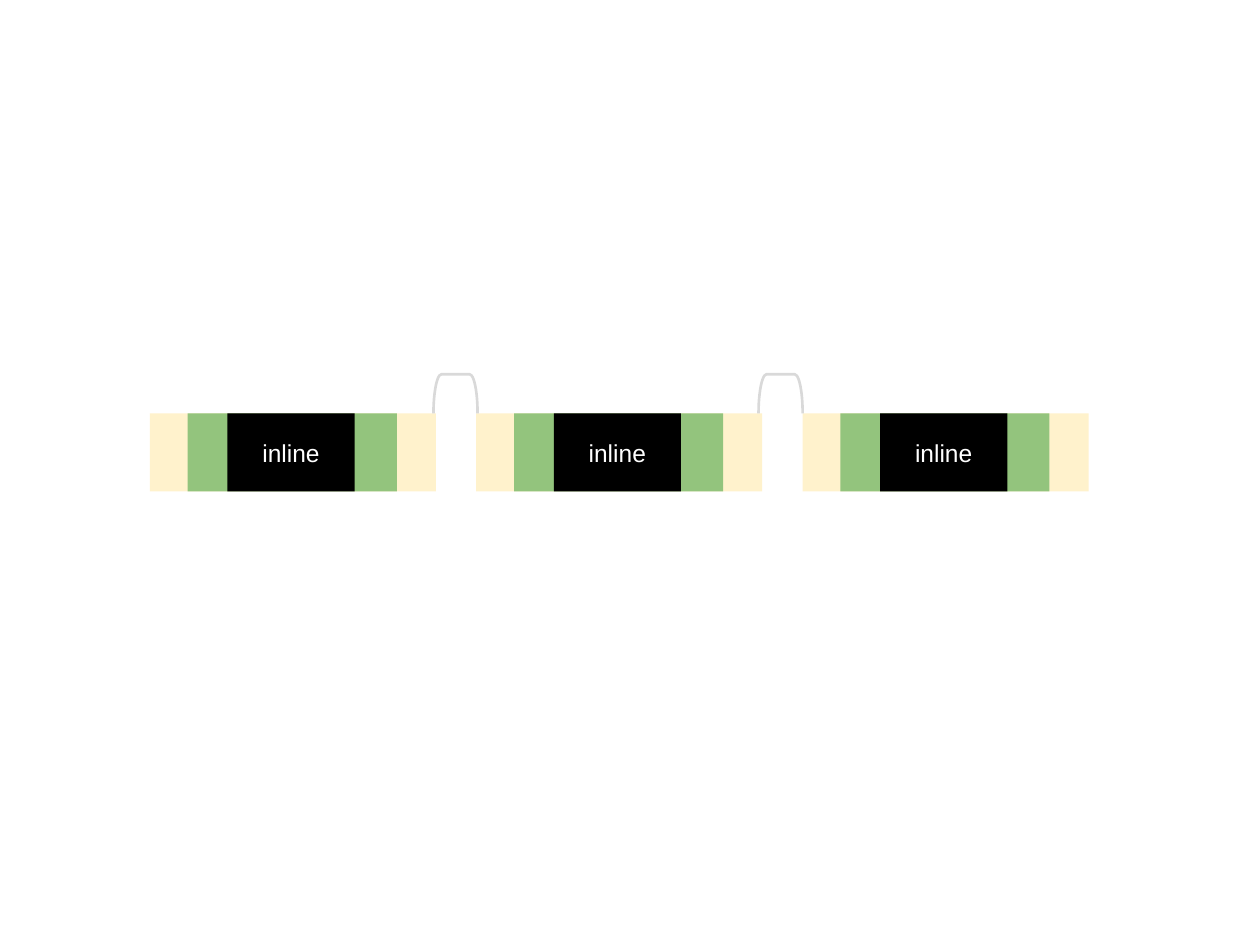
import pptx
import pptx.util
import pptx.dml.color
import pptx.enum.shapes
import pptx.enum.text

SHAPES = pptx.enum.shapes.MSO_SHAPE


def color(value):
    return pptx.dml.color.RGBColor.from_string(value)


class Deck:
    """Draw styled boxes on one slide, with lengths in grid cells of 0.1 inch."""

    CELL = 0.1
    FONT = "Arial"
    SIZE = 14
    MARGIN, PADDING, CONTENT = "FFF2CC", "93C47D", "000000"
    TEXT, LINE = "FFFFFF", "D9D9D9"

    def __init__(self, columns, rows):
        self.prs = pptx.Presentation()
        self.prs.slide_width = self.cells(columns)
        self.prs.slide_height = self.cells(rows)
        self.s = self.prs.slides.add_slide(self.prs.slide_layouts[6])

    def cells(self, count):
        return pptx.util.Inches(count * self.CELL)

    def shape(self, kind, left, top, width, height):
        sp = self.s.shapes.add_shape(
            kind, *(self.cells(v) for v in (left, top, width, height)))
        sp.shadow.inherit = False
        return sp

    def box(self, left, top, width, height, fill):
        sp = self.shape(SHAPES.RECTANGLE, left, top, width, height)
        sp.fill.solid()
        sp.fill.fore_color.rgb = color(fill)
        sp.line.fill.background()
        return sp

    def label(self, sp, text):
        tf = sp.text_frame
        tf.word_wrap = True
        tf.vertical_anchor = pptx.enum.text.MSO_ANCHOR.MIDDLE
        tf.margin_left = tf.margin_right = self.cells(1)
        tf.margin_top = tf.margin_bottom = self.cells(1)
        p = tf.paragraphs[0]
        p.alignment = pptx.enum.text.PP_ALIGN.CENTER
        r = p.add_run()
        r.text = text
        r.font.name = self.FONT
        r.font.size = pptx.util.Pt(self.SIZE)
        r.font.color.rgb = color(self.TEXT)

    def inline_box(self, left, top, height, text):
        self.box(left, top, 22.7, height, self.MARGIN)
        self.box(left + 3, top, 16.6, height, self.PADDING)
        self.label(self.box(left + 6.15, top, 10.1, height, self.CONTENT), text)

    def gap_bracket(self, left, top):
        sp = self.shape(SHAPES.LEFT_BRACKET, left, top, 3.1, 3.5)
        sp.rotation = 90
        sp.adjustments[0] = 0.205
        sp.fill.background()
        sp.line.color.rgb = color(self.LINE)
        sp.line.width = pptx.util.Pt(1.5)


def main():
    deck = Deck(100, 75)
    boxes, left, pitch = 3, 11.9, 25.9
    for i in range(boxes):
        deck.inline_box(left + i * pitch, 32.8, 6.2, "inline")
    for i in range(boxes - 1):
        deck.gap_bracket(34.6 + i * 25.8, 29.5)
    deck.prs.save("out.pptx")


if __name__ == "__main__":
    main()
